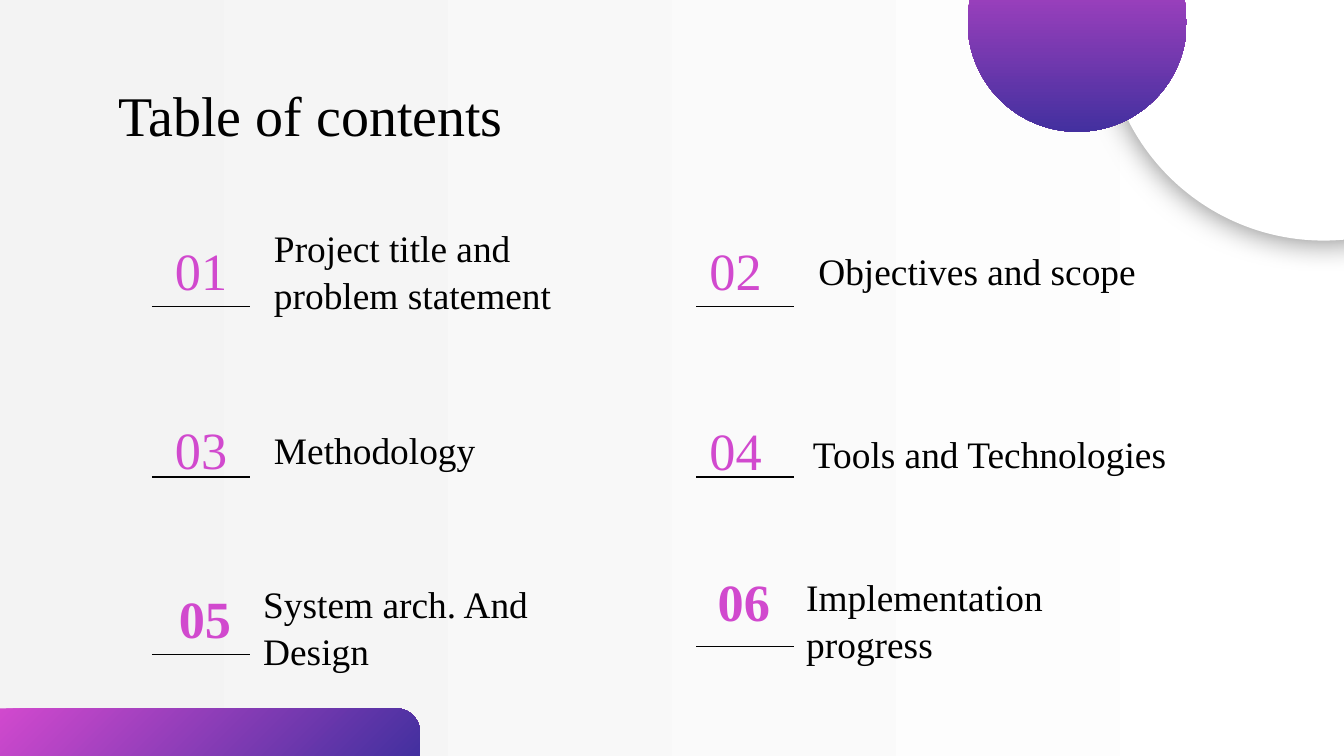
from lxml import etree
from pptx import Presentation
from pptx.dml.color import RGBColor
from pptx.enum import shapes, text
from pptx.oxml.ns import qn
from pptx.util import Pt

FONT = "Times New Roman"
BLACK, WHITE, GREY = "000000", "FFFFFF", "F3F3F3"
PINK, INDIGO = "D149CE", "43309F"
LEFT, CENTER = text.PP_ALIGN.LEFT, text.PP_ALIGN.CENTER

RULE_LEFTS = (81.4, 373)
RULE_WIDTH = 52.3
NUMBER_WIDTH, LABEL_WIDTH, LINE_HEIGHT = 52.6, 208.1, 28.1

# label, number left and middle, label left and middle, rule height
ENTRIES = [
    ("Project title and problem statement", 81.4, 144.4, 139.7, 144.4, 164.2),
    ("Objectives and scope", 373, 144.4, 431.3, 144.4, 164.2),
    ("Methodology", 81.4, 240.1, 139.7, 240.1, 255.6),
    ("Tools and Technologies", 373, 240.8, 428.4, 242.3, 255.6),
    ("System arch. And Design", 83.5, 330.8, 133.9, 335.2, 350.6),
    ("Implementation progress", 372.2, 321.5, 424.8, 331.6, 346.3),
]


def color(value):
    return RGBColor.from_string(value)


def fill_gradient(fill, start, end, clockwise_angle):
    fill.gradient()
    fill.gradient_angle = (360 - clockwise_angle) % 360
    for stop, value, position in zip(fill.gradient_stops, (start, end), (0, 1)):
        stop.color.rgb = color(value)
        stop.position = position


def write(shape, content, size=20, ink=BLACK, bold=False, align=LEFT, spacing=1.0):
    frame = shape.text_frame
    frame.word_wrap = True
    frame.auto_size = text.MSO_AUTO_SIZE.NONE
    frame.vertical_anchor = text.MSO_ANCHOR.MIDDLE
    frame.margin_left = frame.margin_right = Pt(7.2)
    frame.margin_top = frame.margin_bottom = Pt(7.2)
    paragraph = frame.paragraphs[0]
    paragraph.alignment = align
    paragraph.line_spacing = spacing
    run = paragraph.add_run()
    run.text = content
    run.font.name = FONT
    run.font.size = Pt(size)
    run.font.bold = bold
    run.font.color.rgb = color(ink)


def add_label(slide, content, left, middle, width, **style):
    """Add a one-line-high text box centred on the height `middle`."""
    box = slide.shapes.add_textbox(
        Pt(left), Pt(middle - LINE_HEIGHT / 2), Pt(width), Pt(LINE_HEIGHT))
    write(box, content, **style)


def add_rule(slide, left, height):
    rule = slide.shapes.add_connector(
        shapes.MSO_CONNECTOR.STRAIGHT,
        Pt(left), Pt(height), Pt(left + RULE_WIDTH), Pt(height))
    rule.line.color.rgb = color(BLACK)
    rule.line.width = Pt(0.75)
    etree.SubElement(rule.element.spPr, qn("a:effectLst"))


def add_plain_shape(slide, kind, left, top, width, height):
    shape = slide.shapes.add_shape(kind, Pt(left), Pt(top), Pt(width), Pt(height))
    shape.line.fill.background()
    shape.shadow.inherit = False
    return shape


def add_soft_shadow(shape, blur, opacity):
    effects = shape.element.spPr.find(qn("a:effectLst"))
    shadow = etree.SubElement(effects, qn("a:outerShdw"), blurRad=str(Pt(blur)),
                              dist="0", dir="0", algn="ctr", rotWithShape="0")
    ink = etree.SubElement(shadow, qn("a:srgbClr"), val=BLACK)
    etree.SubElement(ink, qn("a:alpha"), val=str(opacity * 1000))


def add_title(slide, content):
    title = slide.shapes.title
    title.left, title.top, title.width, title.height = (
        Pt(56.2), Pt(42.5), Pt(607.7), Pt(37.4))
    write(title, content, size=30)


def add_decoration(slide):
    kinds = shapes.MSO_SHAPE
    corner = add_plain_shape(slide, kinds.ROUND_1_RECTANGLE, 0, 379.5, 225, 25.5)
    corner.adjustments[0] = 0.5
    fill_gradient(corner.fill, PINK, INDIGO, 45)

    disc = add_plain_shape(slide, kinds.OVAL, 591.8, -105.8, 234.7, 234.7)
    disc.fill.solid()
    disc.fill.fore_color.rgb = color(WHITE)
    add_soft_shadow(disc, blur=16.9, opacity=50)

    ball = add_plain_shape(slide, kinds.OVAL, 518.4, -46.8, 117.4, 117.4)
    fill_gradient(ball.fill, PINK, INDIGO, 90)


def add_entries(slide):
    for index, entry in enumerate(ENTRIES):
        label, number_left, number_middle, label_left, label_middle, rule = entry
        last_row = index >= 4
        centered = last_row or index % 2 == 0
        add_label(slide, f"{index + 1:02}", number_left, number_middle, NUMBER_WIDTH,
                  size=28, ink=PINK, bold=last_row, align=CENTER if centered else LEFT)
        add_label(slide, label, label_left, label_middle, LABEL_WIDTH, spacing=1.05)
        add_rule(slide, RULE_LEFTS[index % 2], rule)


def main():
    presentation = Presentation()
    presentation.slide_width, presentation.slide_height = Pt(720), Pt(405)
    slide = presentation.slides.add_slide(presentation.slide_layouts[5])
    fill_gradient(slide.background.fill, WHITE, GREY, 180)
    add_decoration(slide)
    add_title(slide, "Table of contents")
    add_entries(slide)
    presentation.save("out.pptx")


if __name__ == "__main__":
    main()
